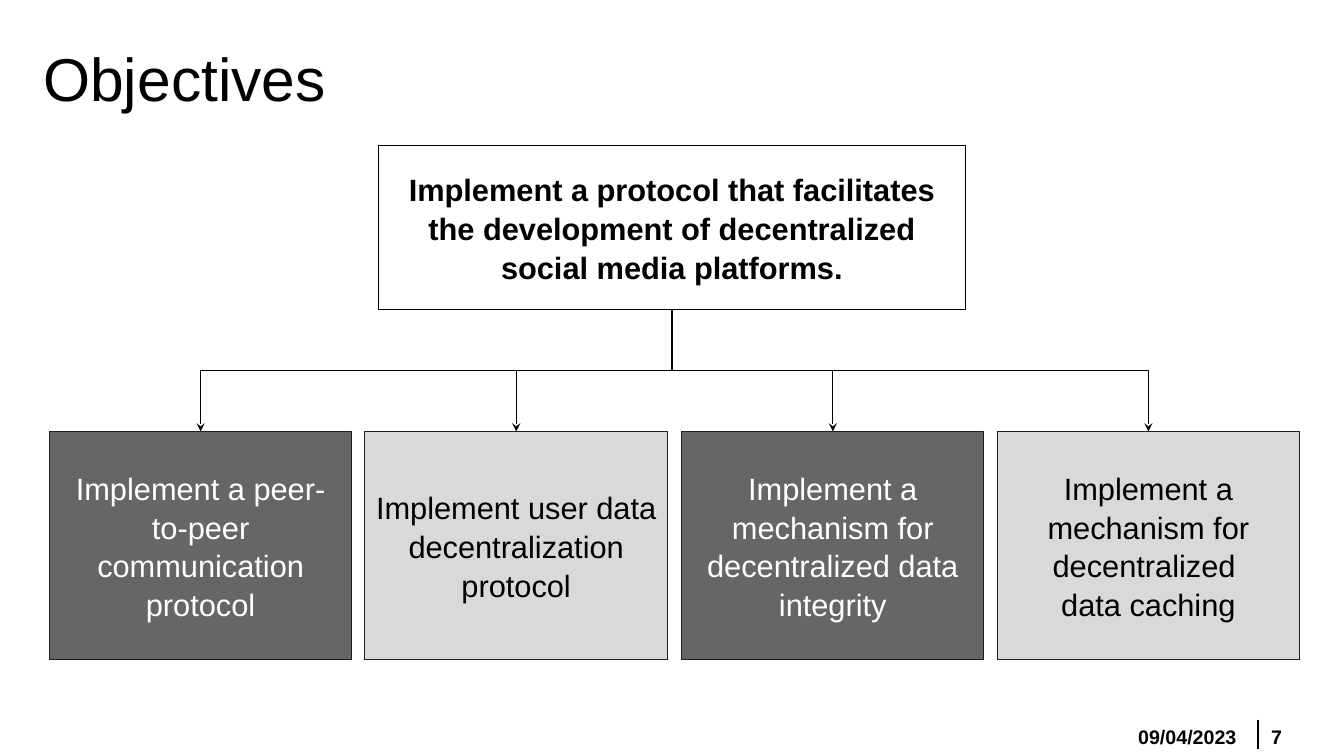
from lxml import etree
from pptx import Presentation
from pptx.dml.color import RGBColor
from pptx.enum.shapes import MSO_CONNECTOR as CONN, MSO_SHAPE as SHAPE
from pptx.enum.text import MSO_ANCHOR as ANCHOR, MSO_AUTO_SIZE as AUTO, PP_ALIGN as ALIGN
from pptx.oxml.ns import qn
from pptx.util import Pt

PX = 9144  # 100 px to the inch
COLORS = {
    "black": "000000",
    "white": "FFFFFF",
    "dark": "666666",
    "light": "D9D9D9",
    "edge": "231B23",
}
GOAL = ("Implement a protocol that facilitates the development of "
        "decentralized social media platforms.")
OBJECTIVES = [
    ["Implement a peer-to-peer", "communication protocol"],
    ["Implement user data", "decentralization protocol"],
    ["Implement a mechanism for", "decentralized data integrity"],
    ["Implement a mechanism for", "decentralized ", "data caching"],
]


def px(*values):
    return [round(v * PX) for v in values]


def rgb(name):
    return RGBColor.from_string(COLORS[name])


class Deck:
    font = "Arial"
    line_width = 0.75

    def __init__(self, prs):
        self.s = prs.slides.add_slide(prs.slide_layouts[5])

    def fill_text(self, tf, lines, size, color="black", bold=False,
                  align=ALIGN.LEFT, spacing=1.0, inset=5):
        tf.word_wrap = True
        tf.auto_size = AUTO.NONE
        tf.vertical_anchor = ANCHOR.MIDDLE
        tf.margin_left, tf.margin_right = px(10, 10)
        tf.margin_top, tf.margin_bottom = px(inset, inset)
        for i, line in enumerate(lines):
            p = tf.add_paragraph() if i else tf.paragraphs[0]
            p.alignment = align
            p.line_spacing = spacing
            r = p.add_run()
            r.text = line
            r.font.name = self.font
            r.font.size = Pt(size)
            r.font.bold = bold
            r.font.color.rgb = rgb(color)

    def title(self, text, x, y, w, h):
        sp = self.s.shapes.title
        sp.left, sp.top, sp.width, sp.height = px(x, y, w, h)
        self.fill_text(sp.text_frame, [text], 43.2)

    def label(self, text, x, y, w, h):
        sp = self.s.shapes.add_textbox(*px(x, y, w, h))
        self.fill_text(sp.text_frame, [text], 14, bold=True)

    def box(self, lines, x, y, w, h, fill, edge, color, bold=False):
        sp = self.s.shapes.add_shape(SHAPE.RECTANGLE, *px(x, y, w, h))
        sp.shadow.inherit = False
        sp.fill.solid()
        sp.fill.fore_color.rgb = rgb(fill)
        sp.line.color.rgb = rgb(edge)
        sp.line.width = Pt(self.line_width)
        self.fill_text(sp.text_frame, lines, 22, color, bold, ALIGN.CENTER, 1.05, 10)
        return sp

    def connector(self, kind, ends, width):
        c = self.s.shapes.add_connector(kind, *ends)
        c.line.color.rgb = rgb("black")
        c.line.width = Pt(width)
        etree.SubElement(c._element.spPr, qn("a:effectLst"))
        return c

    def divider(self, x, top, bottom):
        self.connector(CONN.STRAIGHT, px(x, top, x, bottom), 1.5)

    def branch(self, parent, child):
        """Elbow arrow from the parent's bottom, down and across to the child's top."""
        x1, y1 = parent.left + parent.width // 2, parent.top + parent.height
        x2, y2 = child.left + child.width // 2, child.top
        c = self.connector(CONN.ELBOW, (x1, y1, x2, y2), self.line_width)
        c.begin_connect(parent, 2)
        c.end_connect(child, 0)
        # The elbow preset leaves sideways, so it is turned to leave downwards
        drop, run = y2 - y1, abs(x2 - x1)
        c.left, c.top = (x1 + x2 - drop) // 2, (y1 + y2 - run) // 2
        c.width, c.height = drop, run
        to_right = x2 > x1
        xfrm = c._element.spPr.find(qn("a:xfrm"))
        xfrm.set("rot", str((270 if to_right else 90) * 60000))
        xfrm.set("flipH", "1" if to_right else "0")
        xfrm.set("flipV", "0")
        ln = c._element.spPr.find(qn("a:ln"))
        etree.SubElement(ln, qn("a:tailEnd"), type="stealth")


def main():
    prs = Presentation()
    prs.slide_width, prs.slide_height = px(1333, 750)
    deck = Deck(prs)

    deck.label("7", 1251, 718, 74, 25)
    deck.label("09/04/2023", 1119, 718, 122, 25)
    deck.divider(1248, 714, 743)
    deck.title("Objectives", 33, 33, 1174, 87)

    goal = deck.box([GOAL], 375, 144, 583, 163, "white", "black", "black", bold=True)
    step = 940 / 3
    for i, lines in enumerate(OBJECTIVES):
        fill, color = [("dark", "white"), ("light", "black")][i % 2]
        child = deck.box(lines, round(49 + i * step), 428, 300, 226, fill, "edge", color)
        deck.branch(goal, child)

    prs.save("out.pptx")


if __name__ == "__main__":
    main()
